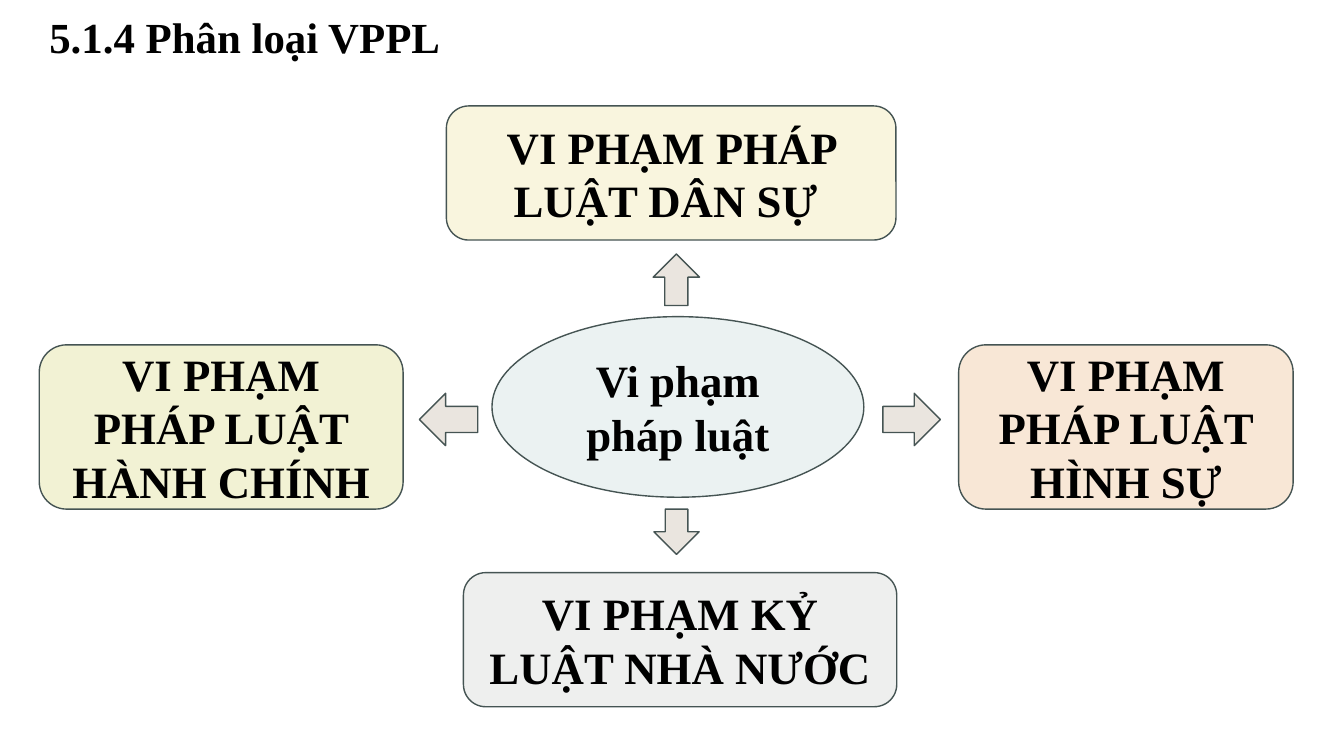
from pptx import Presentation
from pptx import util as u
from pptx.dml import color
from pptx.enum import shapes, text

KIND = shapes.MSO_SHAPE
OUTLINE = "455453"
ARROW_FILL = "EAE5DF"
LABEL_FONT = {"name": "Times New Roman", "size": u.Pt(32), "bold": True}
TITLE_FONT = {**LABEL_FONT, "size": u.Pt(30.6)}

CATEGORIES = [
    ("VI PHẠM PHÁP LUẬT DÂN SỰ ", (11.25, 2.67, 11.33, 3.38), "F9F5DE"),
    ("VI PHẠM PHÁP LUẬT HÀNH CHÍNH", (0.99, 8.69, 9.17, 4.14), "F2F2D4"),
    ("VI PHẠM PHÁP LUẬT HÌNH SỰ", (24.16, 8.69, 8.43, 4.14), "F8E7D6"),
    ("VI PHẠM KỶ LUẬT NHÀ NƯỚC", (11.68, 14.43, 10.92, 3.38), "EEEFEE"),
]
ARROWS = [
    (KIND.UP_ARROW, (16.46, 6.4, 1.17, 1.3)),
    (KIND.LEFT_ARROW, (10.57, 9.91, 1.47, 1.32)),
    (KIND.RIGHT_ARROW, (22.25, 9.91, 1.45, 1.32)),
    (KIND.DOWN_ARROW, (16.48, 12.83, 1.14, 1.14)),
]


def rgb(value):
    return color.RGBColor.from_string(value)


def write(shape, words, font, align):
    frame = shape.text_frame
    frame.word_wrap = True
    frame.vertical_anchor = text.MSO_ANCHOR.MIDDLE
    para = frame.paragraphs[0]
    para.alignment = align
    span = para.add_run()
    span.text = words
    for name, value in font.items():
        setattr(span.font, name, value)
    span.font.color.rgb = rgb("000000")
    return para


def add_title(page, words):
    title = page.shapes.title
    place = {"left": 0.99, "top": 0.33, "width": 32.08, "height": 1.35}
    for name, value in place.items():
        setattr(title, name, u.Cm(value))
    para = write(title, words, TITLE_FONT, text.PP_ALIGN.LEFT)
    para.line_spacing = 0.9
    title.text_frame.auto_size = text.MSO_AUTO_SIZE.NONE


def add_figure(page, kind, place, fill):
    figure = page.shapes.add_shape(kind, *map(u.Cm, place))
    figure.shadow.inherit = False
    figure.fill.solid()
    figure.fill.fore_color.rgb = rgb(fill)
    figure.line.color.rgb = rgb(OUTLINE)
    figure.line.width = u.Pt(1)
    return figure


def add_label(page, kind, words, place, fill):
    box = add_figure(page, kind, place, fill)
    write(box, words, LABEL_FONT, text.PP_ALIGN.CENTER)


def main():
    deck = Presentation()
    deck.slide_width, deck.slide_height = u.Cm(33.87), u.Cm(19.05)
    page = deck.slides.add_slide(deck.slide_layouts.get_by_name("Title Only"))
    add_title(page, "5.1.4 Phân loại VPPL")
    add_label(page, KIND.OVAL, "Vi phạm pháp luật", (12.4, 7.98, 9.37, 4.55), "EBF2F2")
    for kind, place in ARROWS:
        add_figure(page, kind, place, ARROW_FILL)
    for words, place, fill in CATEGORIES:
        add_label(page, KIND.ROUNDED_RECTANGLE, words, place, fill)
    deck.save("out.pptx")


if __name__ == "__main__":
    main()
